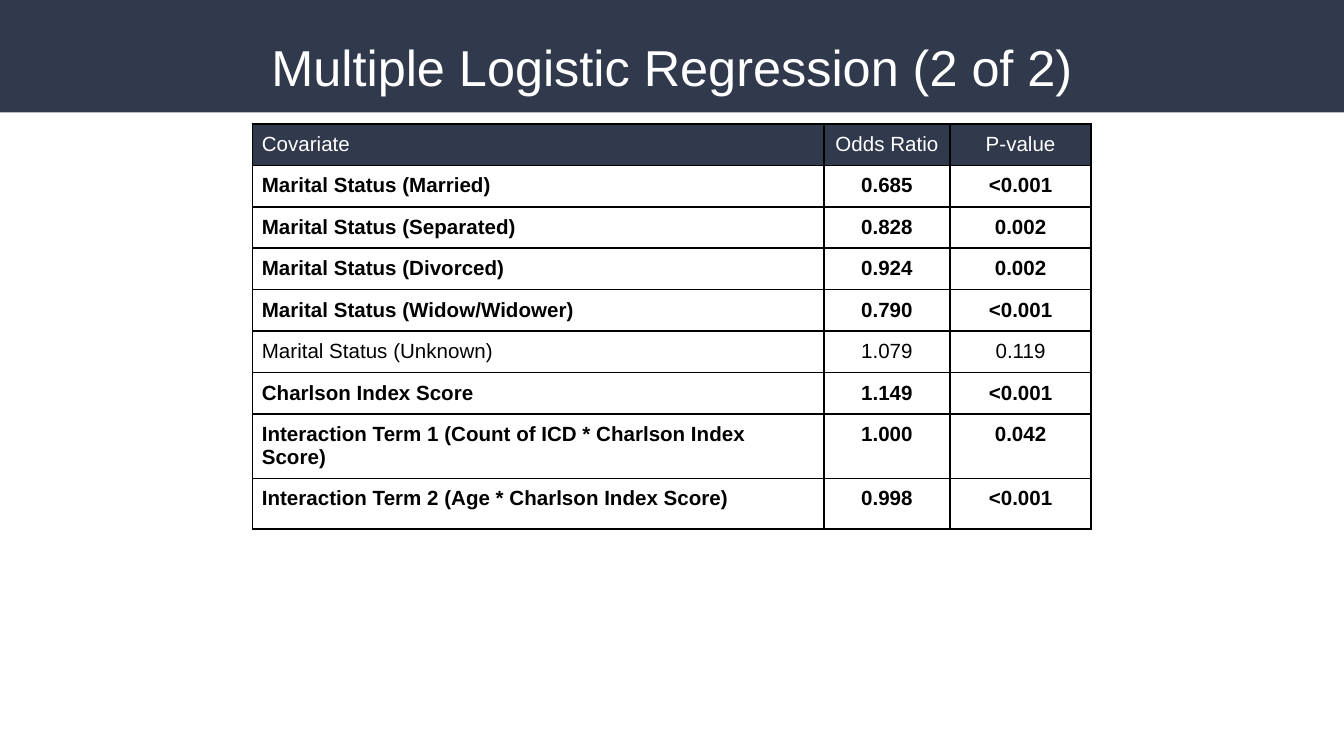
import pptx
import pptx.util
import pptx.dml.color
import pptx.enum.shapes
import pptx.enum.text
import pptx.oxml
import pptx.oxml.ns

Pt = pptx.util.Pt
PP_ALIGN = pptx.enum.text.PP_ALIGN
FONT = "Arial"
NAVY, WHITE, BLACK = "31394D", "FFFFFF", "000000"

HEADINGS = ("Covariate", "Odds Ratio", "P-value")
COVARIATES = [
    ("Marital Status (Married)", "0.685", "<0.001"),
    ("Marital Status (Separated)", "0.828", "0.002"),
    ("Marital Status (Divorced)", "0.924", "0.002"),
    ("Marital Status (Widow/Widower)", "0.790", "<0.001"),
    ("Marital Status (Unknown)", "1.079", "0.119"),
    ("Charlson Index Score", "1.149", "<0.001"),
    ("Interaction Term 1 (Count of ICD * Charlson Index Score)", "1.000", "0.042"),
    ("Interaction Term 2 (Age * Charlson Index Score)", "0.998", "<0.001"),
]
NOT_SIGNIFICANT = {"Marital Status (Unknown)"}
COLUMN_WIDTHS = (306, 67.7, 75.6)
ROW_HEIGHTS = [22.2] * 7 + [34.6, 27.2]


def rgb(color):
    return pptx.dml.color.RGBColor.from_string(color)


def format_paragraph(paragraph, size, color, align, bold=False):
    paragraph.alignment = align
    for run in paragraph.runs:
        run.font.name = FONT
        run.font.size = Pt(size)
        run.font.bold = bold
        run.font.color.rgb = rgb(color)


def add_panel(slide, left, top, width, height, color):
    panel = slide.shapes.add_shape(
        pptx.enum.shapes.MSO_SHAPE.RECTANGLE, Pt(left), Pt(top), Pt(width), Pt(height))
    panel.shadow.inherit = False
    panel.fill.solid()
    panel.fill.fore_color.rgb = rgb(color)
    panel.line.fill.background()


def add_title(slide, left, top, width, height):
    title = slide.shapes.add_textbox(Pt(left), Pt(top), Pt(width), Pt(height))
    frame = title.text_frame
    frame.word_wrap = True
    frame.vertical_anchor = pptx.enum.text.MSO_ANCHOR.BOTTOM
    frame.margin_top = frame.margin_bottom = 0
    frame.text = "Multiple Logistic Regression (2 of 2)"
    format_paragraph(frame.paragraphs[0], 27, WHITE, PP_ALIGN.CENTER)


def add_borders(cell, color, width):
    """Put a solid line on all four sides; call before setting the cell's fill."""
    properties = cell._tc.get_or_add_tcPr()
    for side in ("lnL", "lnR", "lnT", "lnB"):
        properties.append(pptx.oxml.parse_xml(
            f'<a:{side} {pptx.oxml.ns.nsdecls("a")} w="{Pt(width)}">'
            f'<a:solidFill><a:srgbClr val="{color}"/></a:solidFill></a:{side}>'))


def add_regression_table(slide, left, top):
    rows = [HEADINGS] + COVARIATES
    table = slide.shapes.add_table(
        len(rows), len(HEADINGS), Pt(left), Pt(top),
        Pt(sum(COLUMN_WIDTHS)), Pt(sum(ROW_HEIGHTS))).table
    table.horz_banding = False
    for column, width in zip(table.columns, COLUMN_WIDTHS):
        column.width = Pt(width)
    for r, (values, height) in enumerate(zip(rows, ROW_HEIGHTS)):
        table.rows[r].height = Pt(height)
        heading = r == 0
        bold = not heading and values[0] not in NOT_SIGNIFICANT
        for c, value in enumerate(values):
            cell = table.cell(r, c)
            add_borders(cell, BLACK, 1)
            cell.fill.solid()
            cell.fill.fore_color.rgb = rgb(NAVY if heading else WHITE)
            cell.margin_left = cell.margin_right = Pt(5)
            cell.margin_top = cell.margin_bottom = Pt(4.8)
            cell.text_frame.text = value
            format_paragraph(
                cell.text_frame.paragraphs[0], 11, WHITE if heading else BLACK,
                PP_ALIGN.CENTER if c else PP_ALIGN.LEFT, bold)


def main():
    presentation = pptx.Presentation()
    presentation.slide_width, presentation.slide_height = Pt(720), Pt(405)
    slide = presentation.slides.add_slide(presentation.slide_layouts[6])
    add_panel(slide, 0, 0, 720, 100.8, NAVY)
    add_panel(slide, 0, 60.3, 720, 293, WHITE)
    add_regression_table(slide, 135.3, 66.4)
    add_title(slide, 130, 12, 460, 40)
    presentation.save("out.pptx")


if __name__ == "__main__":
    main()
